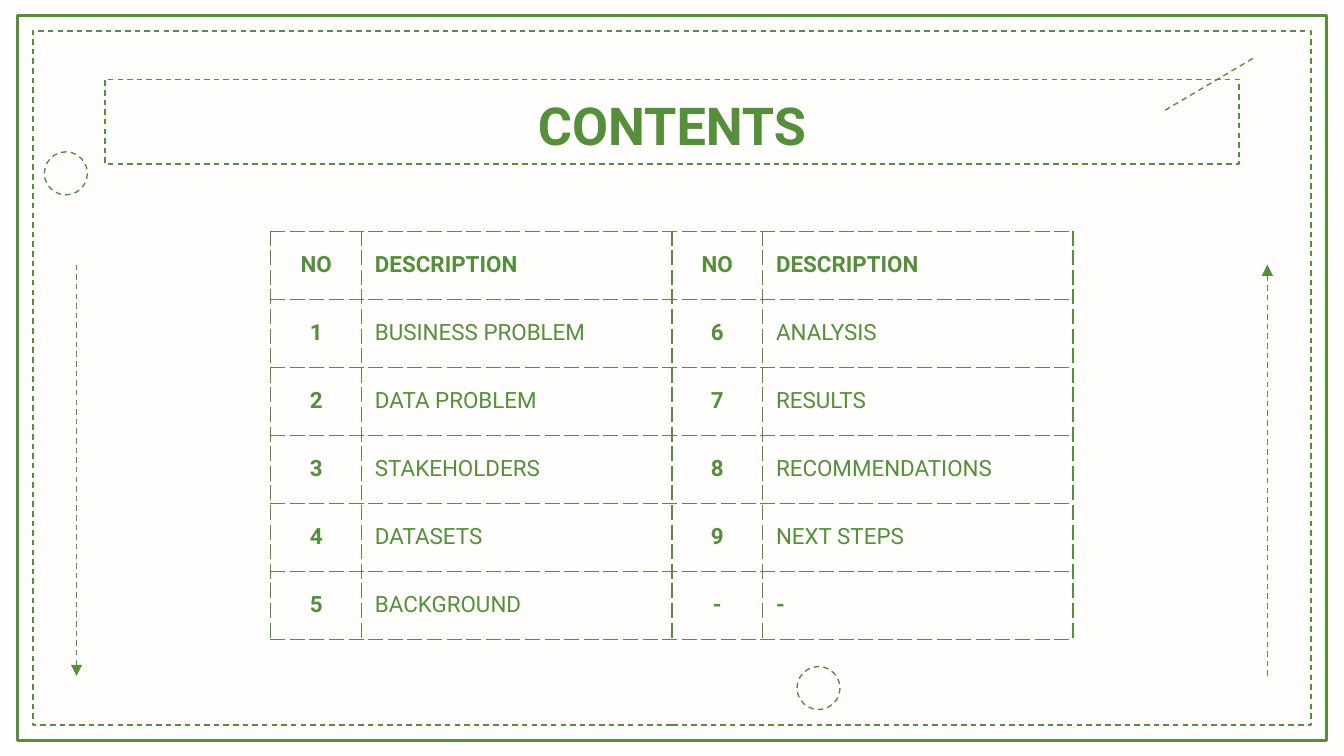
from lxml import etree
from pptx import Presentation, util as u
from pptx.dml.color import RGBColor
from pptx.enum import dml, shapes, text
from pptx.oxml import ns

COLS, ROWS = 100, 56.25
INK = {"green": "558F3B", "paper": "FFFEFC"}
PAIRS = [
    (("NO", "DESCRIPTION"), ("NO", "DESCRIPTION")),
    (("1", "BUSINESS PROBLEM"), ("6", "ANALYSIS")),
    (("2", "DATA PROBLEM"), ("7", "RESULTS")),
    (("3", "STAKEHOLDERS"), ("8", "RECOMMENDATIONS")),
    (("4", "DATASETS"), ("9", "NEXT STEPS")),
    (("5", "BACKGROUND"), ("-", "-")),
]


def grid(*units):
    return [u.Inches(n / 10) for n in units]


def hue(name):
    return RGBColor.from_string(INK[name])


def sub(node, tag, **attrs):
    return etree.SubElement(node, ns.qn(tag), **attrs)


def stroke(item, width=0.75, dash=True):
    item.line.color.rgb = hue("green")
    item.line.width = u.Pt(width)
    if dash:
        item.line.dash_style = dml.MSO_LINE.DASH


def write(frame, words, size=12, bold=False, align="LEFT", anchor="MIDDLE"):
    frame.word_wrap = True
    frame.vertical_anchor = text.MSO_ANCHOR[anchor]
    para = frame.paragraphs[0]
    para.alignment = text.PP_ALIGN[align]
    run = para.add_run()
    run.text = words
    font = run.font
    font.name, font.size, font.bold = "Roboto", u.Pt(size), bold
    font.color.rgb = hue("green")


def shape(slide, kind, box, fill=None, **style):
    item = slide.shapes.add_shape(shapes.MSO_SHAPE[kind], *grid(*box))
    item.shadow.inherit = False
    if fill:
        item.fill.solid()
        item.fill.fore_color.rgb = hue(fill)
    else:
        item.fill.background()
    stroke(item, **style)


def line(slide, ends, arrow=False):
    item = slide.shapes.add_connector(shapes.MSO_CONNECTOR.STRAIGHT, *grid(*ends))
    stroke(item)
    if arrow:
        sub(item.line.get_or_add_ln() if hasattr(item.line, "get_or_add_ln")
            else item.get_or_add_ln(), "a:tailEnd", type="triangle")
    sub(item.element.spPr, "a:effectLst")


def border(cell, props):
    for side in "LRTB":
        edge = sub(props, f"a:ln{side}", w=str(u.Pt(0.75)))
        paint = sub(edge, "a:solidFill")
        sub(paint, "a:srgbClr", val=INK["green"])
        sub(edge, "a:prstDash", val="dash")
    cell.fill.background()


def heading(slide, words, box):
    title = slide.shapes.title
    title.left, title.top, title.width, title.height = grid(*box)
    stroke(title)
    frame = title.text_frame
    frame.margin_left = frame.margin_right = u.Inches(0.1)
    frame.margin_top = frame.margin_bottom = u.Inches(0.1)
    frame.auto_size = text.MSO_AUTO_SIZE.NONE
    write(frame, words, size=28, bold=True, align="CENTER", anchor="TOP")


def agenda(slide, left, top, widths, height):
    count = len(PAIRS)
    box = grid(left, top, sum(widths), height * count)
    table = slide.shapes.add_table(count, len(widths), *box).table
    table.first_row = table.horz_banding = False
    for col, wide in zip(table.columns, grid(*widths)):
        col.width = wide
    for r, pairs in enumerate(PAIRS):
        table.rows[r].height = grid(height)[0]
        for c, words in enumerate(sum(pairs, ())):
            cell = table.cell(r, c)
            cell.margin_left = cell.margin_right = u.Inches(0.1)
            cell.margin_top = cell.margin_bottom = u.Inches(0.1)
            number = c % 2 == 0
            write(cell.text_frame, words, bold=number or r == 0 or words == "-",
                  align="CENTER" if number else "LEFT")
            cell.vertical_anchor = text.MSO_ANCHOR.MIDDLE
            border(cell, cell.text_frame._txBody.getparent().get_or_add_tcPr())


def main():
    deck = Presentation()
    deck.slide_width, deck.slide_height = grid(COLS, ROWS)
    slide = deck.slides.add_slide(deck.slide_layouts[5])
    slide.background.fill.solid()
    slide.background.fill.fore_color.rgb = hue("paper")

    for inset, width, dash in ((1.3, 1.5, False), (2.45, 0.75, True)):
        top = inset - 0.15
        box = (inset, top, COLS - 2 * inset, ROWS - 2 * top)
        shape(slide, "RECTANGLE", box, width=width, dash=dash)
    high, low, side = 19.7, 50.3, 5.7
    line(slide, (side, high, side, low), arrow=True)
    line(slide, (COLS - side, low, COLS - side, high), arrow=True)
    line(slide, (86.7, 8.2, 93.3, 4.3))
    for left, top in ((3.3, 11.3), (59.3, 49.6)):
        shape(slide, "OVAL", (left, top, 3.2, 3.2), fill="paper")

    heading(slide, "CONTENTS", (7.8, 5.9, 84.4, 6.3))
    agenda(slide, 20.15, 17.2, (6.75, 23.1) * 2, 5.06)
    deck.save("out.pptx")


if __name__ == "__main__":
    main()
